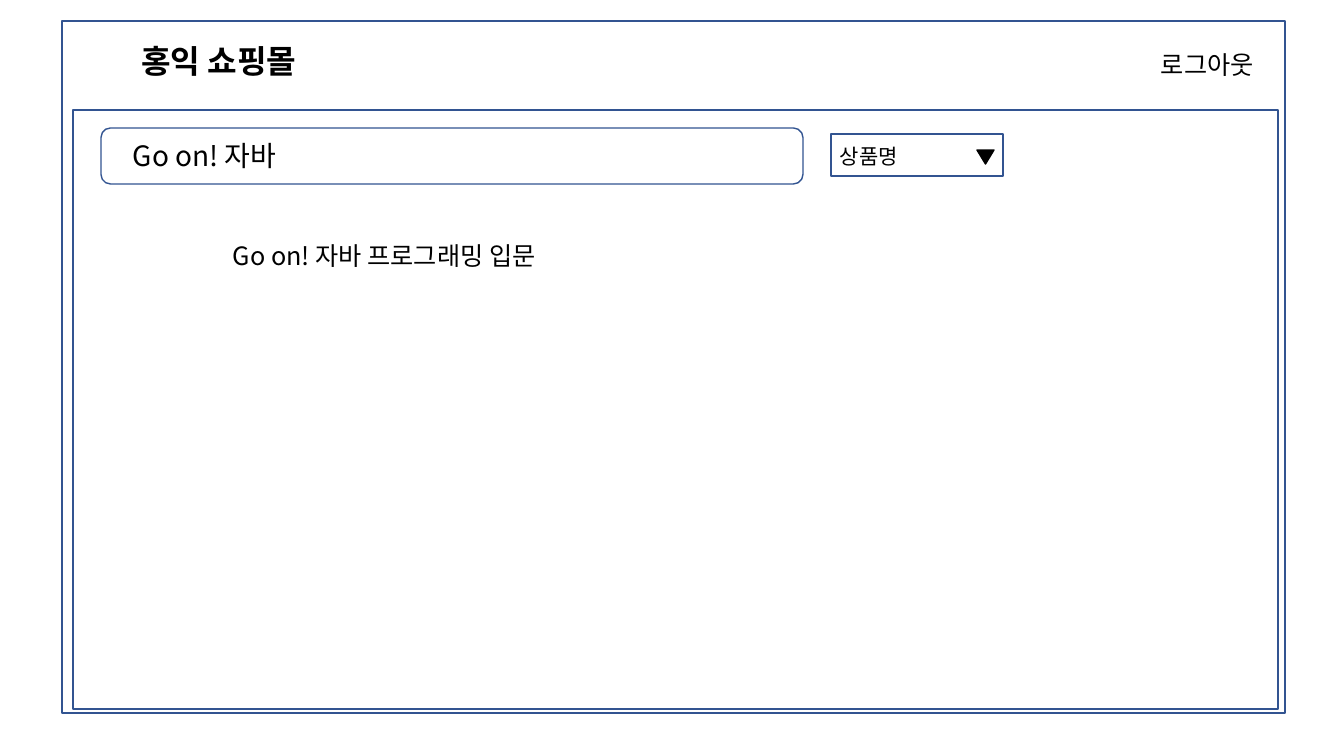
from lxml import etree
from pptx import Presentation
from pptx.dml.color import RGBColor
from pptx.enum.shapes import MSO_SHAPE
from pptx.enum.text import MSO_ANCHOR, MSO_AUTO_SIZE, PP_ALIGN
from pptx.oxml.ns import qn
from pptx.util import Pt

RECT = MSO_SHAPE.RECTANGLE
ROUNDED = MSO_SHAPE.ROUNDED_RECTANGLE
TRIANGLE = MSO_SHAPE.ISOSCELES_TRIANGLE
TOP = MSO_ANCHOR.TOP
LEFT = PP_ALIGN.LEFT
GROW = MSO_AUTO_SIZE.SHAPE_TO_FIT_TEXT

EMU_PER_PX = 914400 / 100.8
COLORS = {"border": "325491", "ink": "000000"}
FONT = "Noto Sans CJK KR"
TITLE_ONLY = 5


def px(length):
    return round(length * EMU_PER_PX)


def color(key):
    return RGBColor.from_string(COLORS[key])


class Wireframe:
    def __init__(self, width, height):
        self.deck = Presentation()
        self.deck.slide_width = px(width)
        self.deck.slide_height = px(height)
        self.slide = self.deck.slides.add_slide(self.deck.slide_layouts[TITLE_ONLY])

    def fill_text(self, box, text, size, bold=False):
        frame = box.text_frame
        frame.word_wrap = True
        frame.auto_size = GROW
        frame.vertical_anchor = TOP
        paragraph = frame.paragraphs[0]
        paragraph.alignment = LEFT
        run = paragraph.add_run()
        run.text = text
        run.font.size = Pt(size)
        run.font.bold = bold
        run.font.name = FONT
        run.font.color.rgb = color("ink")
        east_asian = etree.SubElement(run.font._element, qn("a:ea"))
        east_asian.set("typeface", FONT)

    def title(self, text, left, top, width, height, size):
        heading = self.slide.shapes.title
        heading.left, heading.top = px(left), px(top)
        heading.width, heading.height = px(width), px(height)
        self.fill_text(heading, text, size, bold=True)

    def label(self, text, left, top, width, height, size, parent=None):
        shapes = (parent or self.slide).shapes
        box = shapes.add_textbox(px(left), px(top), px(width), px(height))
        self.fill_text(box, text, size)

    def shape(self, kind, left, top, width, height, line="border", fill=None, parent=None):
        shapes = (parent or self.slide).shapes
        outline = shapes.add_shape(kind, px(left), px(top), px(width), px(height))
        outline.shadow.inherit = False
        outline.line.color.rgb = color(line)
        outline.line.width = Pt(1)
        if fill:
            outline.fill.solid()
            outline.fill.fore_color.rgb = color(fill)
        else:
            outline.fill.background()
        return outline

    def dropdown(self, text, left, top, width, height):
        group = self.slide.shapes.add_group_shape()
        self.shape(RECT, left, top, width, height, parent=group)
        self.label(text, left - 1, top + 5, 205, 34, 15, parent=group)
        arrow = self.shape(TRIANGLE, left + width - 26, top + 16, 17, 14,
                           line="ink", fill="ink", parent=group)
        arrow.rotation = 180

    def save(self):
        self.deck.save("out.pptx")


def main():
    page = Wireframe(1344, 756)
    page.shape(RECT, 62, 21, 1223, 692)
    page.shape(RECT, 73, 110, 1205, 599)
    page.title("홍익 쇼핑몰", 131, 36, 446, 48, 23)
    page.label("로그아웃", 1151, 44, 130, 40, 18)
    search_field = page.shape(ROUNDED, 101, 128, 702, 56)
    search_field.adjustments[0] = 0.17
    page.label("Go on! 자바", 123, 134, 302, 44, 20)
    page.label("Go on! 자바 프로그래밍 입문", 223, 235, 507, 40, 18)
    page.dropdown("상품명", 831, 134, 172, 42)
    page.save()


if __name__ == "__main__":
    main()
